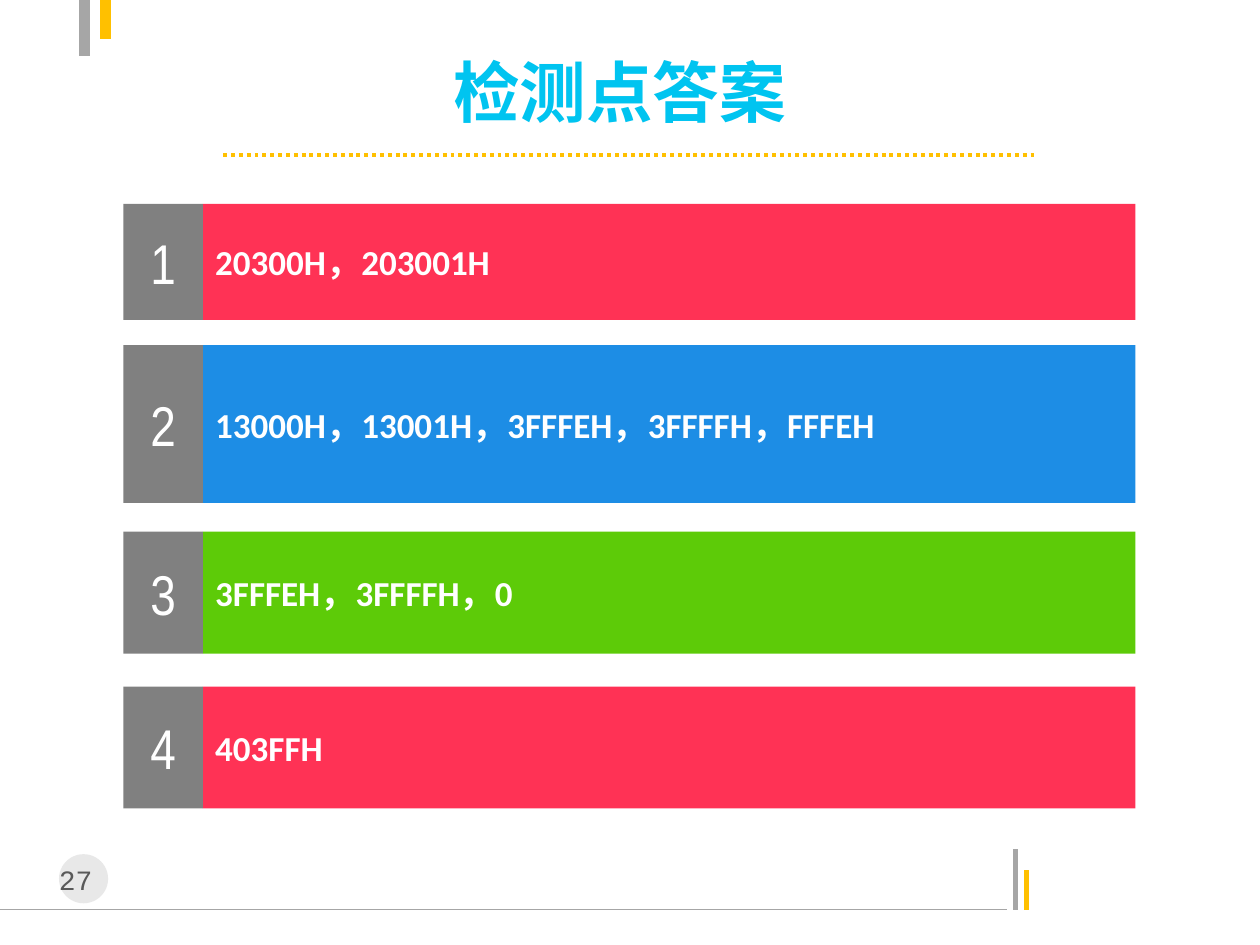
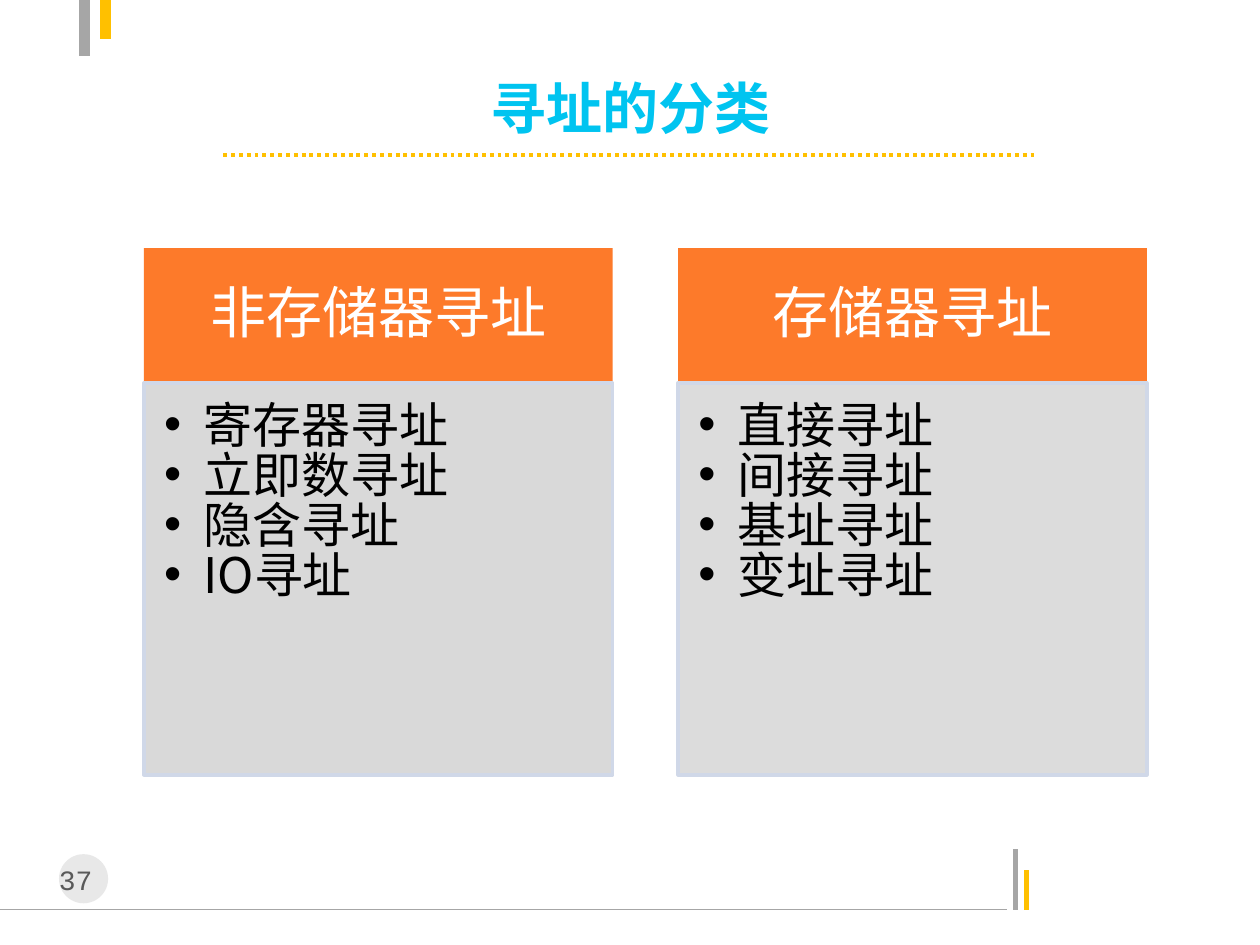
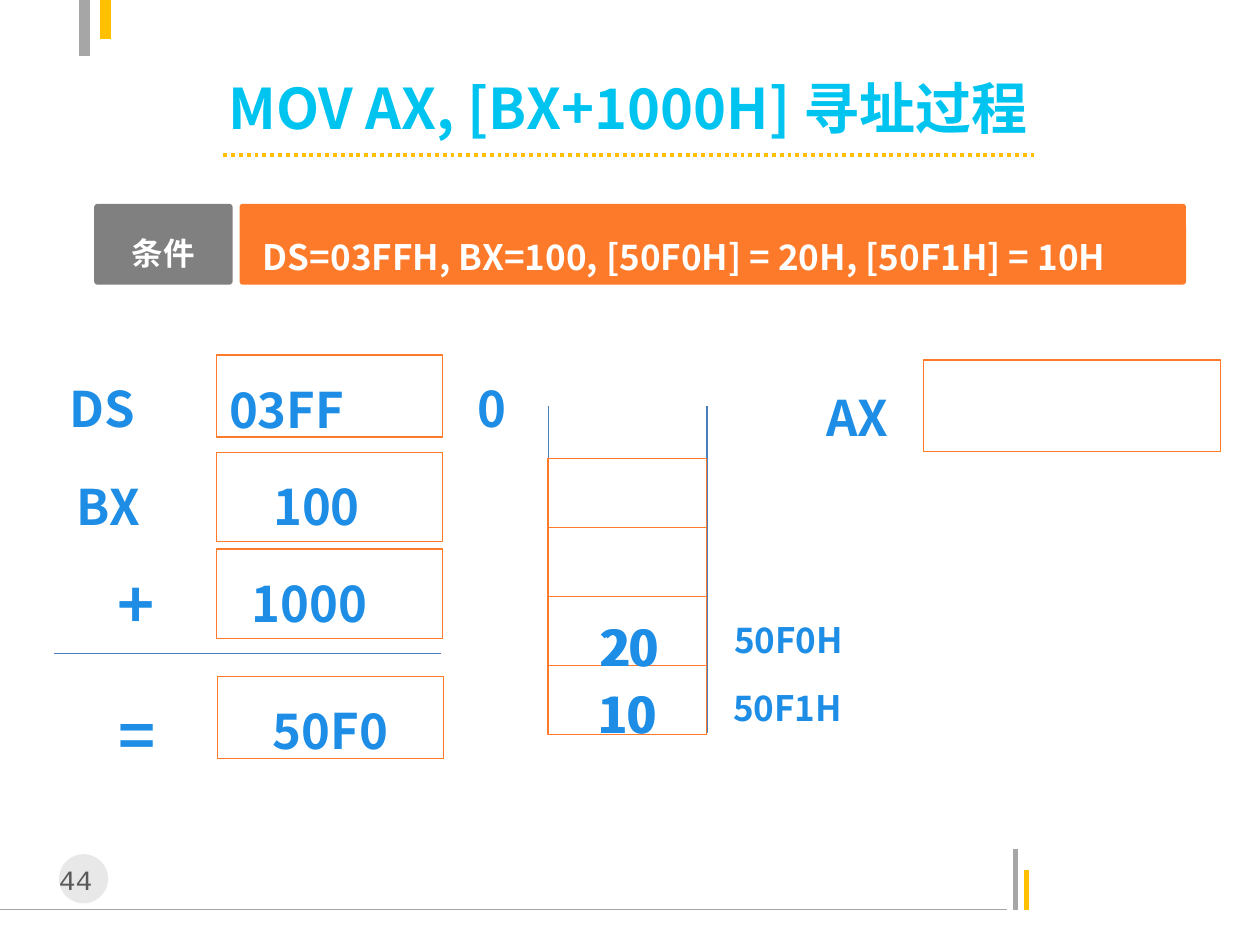
import pptx
import pptx.util
import pptx.dml.color
import pptx.enum.dml
import pptx.enum.shapes
import pptx.enum.text
import pptx.oxml.ns
from dataclasses import dataclass
from lxml import etree

Cm, Pt = pptx.util.Cm, pptx.util.Pt
SHAPE = pptx.enum.shapes.MSO_SHAPE
ANCHOR = pptx.enum.text.MSO_ANCHOR
ALIGN = pptx.enum.text.PP_ALIGN
qn = pptx.oxml.ns.qn


@dataclass(frozen=True)
class Theme:
    title: str = "00C4F0"
    orange: str = "FD7A2A"
    blue: str = "1D8DE5"
    green: str = "5DCB08"
    red: str = "FF3255"
    gray: str = "808080"
    rule: str = "A6A6A6"
    gold: str = "FFC000"
    steel: str = "4B7EBC"
    card: str = "D9D9D9"
    card_edge: str = "D0D8E8"
    badge: str = "BFBFBF"
    page_number: str = "595959"
    white: str = "FFFFFF"
    black: str = "000000"
    main_font: str = "Noto Sans CJK SC"
    answer_font: str = "Calibri"
    number_font: str = "Arial Narrow"
    page_font: str = "Courier New"
    page_size: int = 16
    label_size: int = 18
    small_size: int = 20
    value_size: int = 28
    heading_size: int = 32
    sign_size: int = 36
    large_title: int = 38


THEME = Theme()

# Content; places and sizes are in centimetres
FRAME_LINES = [  # x1, y1, x2, y2, colour, width, dotted
    (0, 18.34, 20.29, 18.34, THEME.rule, 0.75, False),
    (20.47, 18.34, 20.47, 17.12, THEME.rule, 3, False),
    (20.7, 18.34, 20.7, 17.53, THEME.gold, 3, False),
    (1.7, 0, 1.7, 1.12, THEME.rule, 6, False),
    (2.13, 0, 2.13, 0.79, THEME.gold, 6, False),
    (4.5, 3.12, 20.9, 3.12, THEME.gold, 2.25, True),
]
ANSWERS = [  # text, colour, top, height
    ("20300H，203001H", THEME.red, 4.11, 2.34),
    ("13000H，13001H，3FFFEH，3FFFFH，FFFEH", THEME.blue, 6.96, 3.18),
    ("3FFFEH，3FFFFH，0", THEME.green, 10.72, 2.46),
    ("403FFH", THEME.red, 13.84, 2.46),
]
CATEGORIES = [  # heading, items, opacity of the card
    ("非存储器寻址", ["寄存器寻址", "立即数寻址", "隐含寻址", "IO寻址"], 100),
    ("存储器寻址", ["直接寻址", "间接寻址", "基址寻址", "变址寻址"], 90),
]
CONDITION = "DS=03FFH, BX=100, [50F0H] = 20H, [50F1H] = 10H"
REGISTERS = [  # value, left, top, height, left inset, alignment
    ("03FF", 4.37, 7.16, 1.65, 0.25, ALIGN.LEFT),
    ("100", 4.37, 9.12, 1.8, 1.14, ALIGN.LEFT),
    ("1000", 4.37, 11.07, 1.8, 0.7, ALIGN.LEFT),
    ("50F0", 4.39, 13.64, 1.65, 0.25, ALIGN.CENTER),
]
LABELS = [  # text, left, top, size
    ("DS", 1.15, 7.14, THEME.value_size),
    ("0", 9.37, 7.14, THEME.value_size),
    ("BX", 1.3, 9.12, THEME.value_size),
    ("+", 2.11, 10.82, THEME.sign_size),
    ("=", 2.13, 13.46, THEME.sign_size),
    ("AX", 16.41, 7.32, THEME.value_size),
    ("50F0H", 14.55, 12.09, THEME.small_size),
    ("50F1H", 14.53, 13.46, THEME.small_size),
    ("20", 11.89, 11.96, THEME.value_size),
    ("20", 11.84, 11.96, THEME.value_size),
    ("10", 11.84, 13.31, THEME.value_size),
    ("10", 11.79, 13.31, THEME.value_size),
]


# Helpers
def rgb(colour):
    return pptx.dml.color.RGBColor.from_string(colour)


def paint(shape, fill=None, line=None, width=0.75, opacity=100):
    if fill:
        shape.fill.solid()
        shape.fill.fore_color.rgb = rgb(fill)
        if opacity < 100:
            colour = shape.element.spPr.find(qn("a:solidFill"))[0]
            etree.SubElement(colour, qn("a:alpha"), val=str(opacity * 1000))
    else:
        shape.fill.background()
    if line:
        shape.line.color.rgb = rgb(line)
        shape.line.width = Pt(width)
    else:
        shape.line.fill.background()


def write(shape, text, *, size, colour, font=THEME.main_font, bold=False,
          align=ALIGN.LEFT, anchor=ANCHOR.TOP, spacing=1.0, after=0,
          insets=(0.25, 0.13, 0.25, 0.13), bullet_indent=None):
    """Fill a shape with one paragraph for each line of text."""
    frame = shape.text_frame
    frame.word_wrap = True
    frame.auto_size = pptx.enum.text.MSO_AUTO_SIZE.NONE
    frame.vertical_anchor = anchor
    (frame.margin_left, frame.margin_top,
     frame.margin_right, frame.margin_bottom) = map(Cm, insets)
    for index, line in enumerate(text.split("\n")):
        para = frame.add_paragraph() if index else frame.paragraphs[0]
        para.alignment = align
        para.line_spacing = spacing
        para.space_before = Pt(0)
        para.space_after = Pt(after)
        if bullet_indent:
            props = para._p.get_or_add_pPr()
            props.set("marL", str(Cm(bullet_indent)))
            props.set("indent", str(-Cm(bullet_indent)))
            etree.SubElement(props, qn("a:buChar"), char="•")
        span = para.add_run()
        span.text = line
        span.font.size = Pt(size)
        span.font.bold = bold
        span.font.color.rgb = rgb(colour)
        span.font.name = font
        latin = span.font._element.find(qn("a:latin"))
        latin.addnext(latin.makeelement(qn("a:ea"), typeface=THEME.main_font))


def add_box(page, box, kind=SHAPE.RECTANGLE, **look):
    shape = page.shapes.add_shape(kind, *map(Cm, box))
    shape.shadow.inherit = False
    paint(shape, **look)
    return shape


def add_line(page, x1, y1, x2, y2, colour, width=0.75, dotted=False):
    line = page.shapes.add_connector(
        pptx.enum.shapes.MSO_CONNECTOR.STRAIGHT, Cm(x1), Cm(y1), Cm(x2), Cm(y2))
    line.line.color.rgb = rgb(colour)
    line.line.width = Pt(width)
    if dotted:
        line.line.dash_style = pptx.enum.dml.MSO_LINE.ROUND_DOT
    etree.SubElement(line.element.spPr, qn("a:effectLst"))


def place(shape, box):
    shape.left, shape.top, shape.width, shape.height = map(Cm, box)


def add_page(deck, layout, title, box, number, size=THEME.heading_size,
             align=ALIGN.CENTER):
    """Start a slide with the shared frame, page number and title."""
    page = deck.slides.add_slide(deck.slide_layouts.get_by_name(layout))
    for line in FRAME_LINES:
        add_line(page, *line)
    add_box(page, (1.19, 17.22, 0.99, 0.99), SHAPE.OVAL,
            fill=THEME.badge, opacity=35)
    number_box = page.shapes.add_textbox(*map(Cm, (1.19, 17.25, 1.4, 0.94)))
    write(number_box, str(number), size=THEME.page_size, font=THEME.page_font,
          colour=THEME.page_number, insets=(0, 0.13, 0, 0.13))
    place(page.shapes.title, box)
    write(page.shapes.title, title, size=size, colour=THEME.title, bold=True,
          align=align, anchor=ANCHOR.MIDDLE)
    return page


# Slides
def add_answers(deck):
    page = add_page(deck, "Title Only", "检测点答案", (8.89, 1.19, 9.22, 1.27),
                    27, size=THEME.large_title, align=ALIGN.LEFT)
    left, number_width, answer_width = 2.49, 1.6, 18.8
    for number, (answer, colour, top, height) in enumerate(ANSWERS, 1):
        bar = add_box(page, (left + number_width, top, answer_width, height),
                      fill=colour)
        write(bar, answer, size=THEME.small_size, colour=THEME.white, bold=True,
              font=THEME.answer_font, anchor=ANCHOR.MIDDLE)
        tab = add_box(page, (left, top, number_width, height), fill=THEME.gray)
        write(tab, str(number), size=THEME.heading_size, colour=THEME.white,
              font=THEME.number_font, align=ALIGN.CENTER, anchor=ANCHOR.MIDDLE)


def add_categories(deck):
    page = add_page(deck, "Comparison", "寻址的分类", (3.5, 1.52, 18.42, 1.27), 37)
    bodies = [holder for holder in page.placeholders
              if holder.placeholder_format.idx in (1, 2, 3, 4)]
    bodies.sort(key=lambda holder: holder.placeholder_format.idx)
    for column, (heading, items, opacity) in enumerate(CATEGORIES):
        left, width = 2.9 + column * 10.77, 9.45
        header, card = bodies[2 * column:2 * column + 2]
        place(header, (left, 5, width, 2.72))
        paint(header, fill=THEME.orange)
        write(header, heading, size=THEME.heading_size, colour=THEME.white,
              align=ALIGN.CENTER, anchor=ANCHOR.MIDDLE, spacing=0.9,
              insets=(0.64, 0.36, 0.64, 0.36))
        place(card, (left, 7.72, width, 7.9))
        paint(card, fill=THEME.card, line=THEME.card_edge, width=2,
              opacity=opacity)
        write(card, "\n".join(items), size=THEME.value_size, colour=THEME.black,
              spacing=0.85, insets=(0.41, 0.41, 0.56, 0.61), bullet_indent=0.79)


def add_process(deck):
    page = add_page(deck, "Title Only", "MOV AX, [BX+1000H] 寻址过程",
                    (2.24, 1.52, 20.85, 1.27), 44)

    # Condition bar
    for text, left, width, colour, size, inset, align in [
        ("条件", 1.9, 2.79, THEME.gray, THEME.label_size, 0.25, ALIGN.CENTER),
        (CONDITION, 4.83, 19.08, THEME.orange, THEME.small_size, 0.45, ALIGN.LEFT),
    ]:
        bar = add_box(page, (left, 4.11, width, 1.63), SHAPE.ROUNDED_RECTANGLE,
                      fill=colour)
        bar.adjustments[0] = 0.04
        write(bar, text, size=size, colour=THEME.white, bold=True, align=align,
              spacing=1.3, insets=(inset, 0.36, 0.25, 0))

    # Memory column and target register
    left, width, top, height = 11.05, 3.2, 9.25, 1.39
    for x in (left, left + width):
        add_line(page, x, 8.18, x, 14.78, THEME.steel)
    for row in range(4):
        add_box(page, (left, top + row * height, width, height),
                fill=THEME.white, line=THEME.orange)
    add_box(page, (18.62, 7.26, 5.99, 1.85), fill=THEME.white, line=THEME.orange)

    # Address sum
    value_style = dict(colour=THEME.blue, bold=True, spacing=1.3, after=0.6)
    for value, left, top, height, inset, align in REGISTERS:
        register = add_box(page, (left, top, 4.55, height), line=THEME.orange)
        write(register, value, size=THEME.value_size, align=align,
              insets=(inset, 0.13, 0.25, 0.13), **value_style)
    add_line(page, 1.09, 13.18, 8.89, 13.18, THEME.steel)
    for text, left, top, size in LABELS:
        label = page.shapes.add_textbox(Cm(left), Cm(top), Cm(3), Cm(1.8))
        write(label, text, size=size, **value_style)


def main():
    deck = pptx.Presentation()
    deck.slide_width, deck.slide_height = Cm(25.4), Cm(19.05)
    add_answers(deck)
    add_categories(deck)
    add_process(deck)
    deck.save("out.pptx")


if __name__ == "__main__":
    main()
